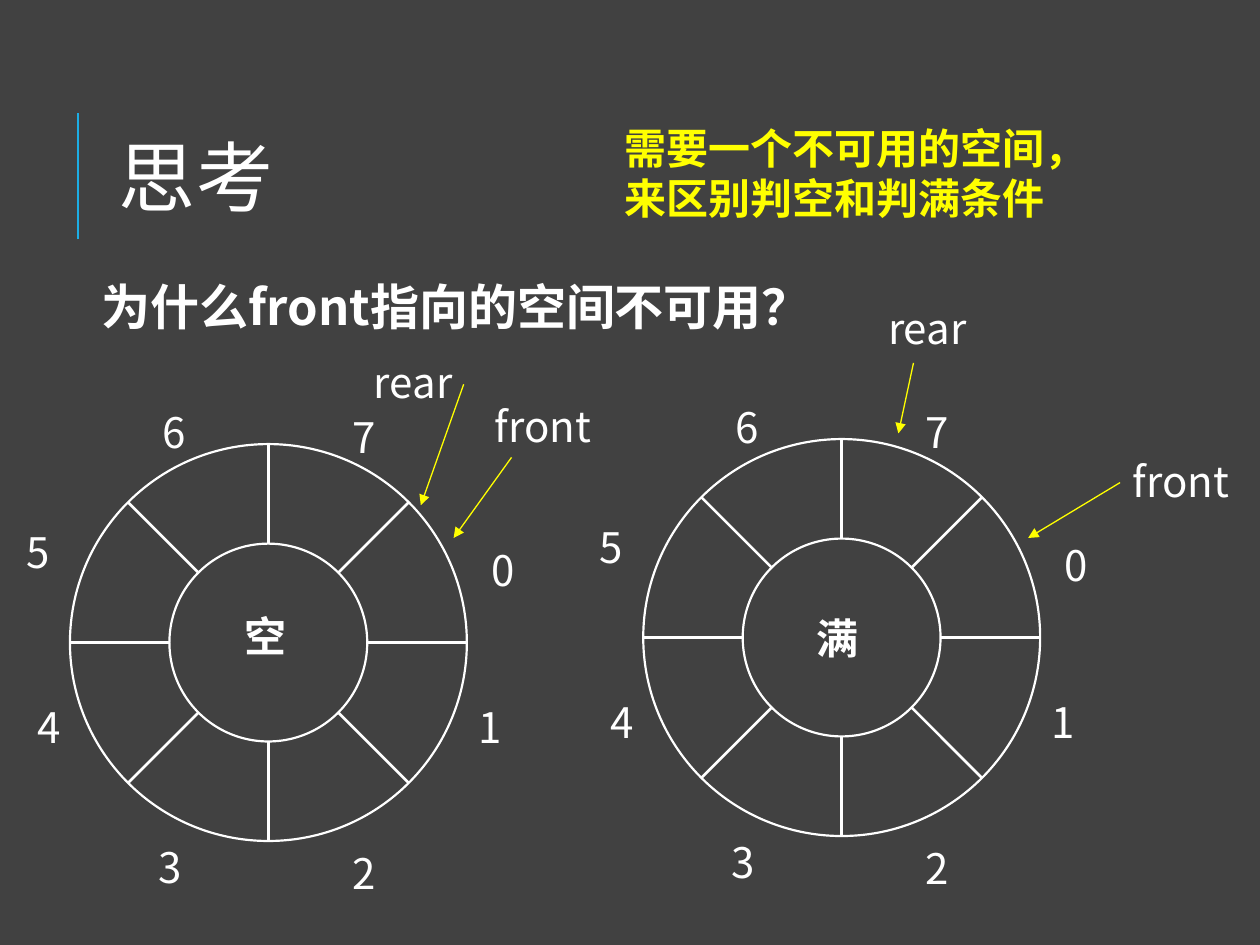
import math

import lxml.etree
import pptx
import pptx.dml.color
import pptx.enum.lang
import pptx.enum.shapes
import pptx.enum.text
import pptx.oxml.ns
import pptx.util

Inches = pptx.util.Inches
WHITE, YELLOW, BLUE, GREY = "FFFFFF", "FFFF00", "1CADE4", "414141"
SANS = "Noto Sans CJK SC"
OUTER_RADIUS, INNER_RADIUS = 1.575, 0.785
SLOT_LABEL_OFFSETS = [
    (1.67, -0.83), (1.57, 0.42), (0.57, 1.58), (-0.97, 1.53),
    (-1.93, 0.42), (-2.02, -0.97), (-0.94, -1.92), (0.57, -1.88),
]
RINGS = [
    {
        "center": (2.13, 5.1),
        "state": ("空", 1.84, 4.8),
        "pointers": [("front", 3.83, 3.13), ("rear", 2.87, 2.78)],
        "arrows": [((4.06, 3.63), (3.6, 4.27)), ((3.68, 3.05), (3.34, 4.01))],
    },
    {
        "center": (6.68, 5.06),
        "state": ("满", 6.38, 4.81),
        "pointers": [("front", 8.89, 3.57), ("rear", 6.95, 2.35)],
        "arrows": [((8.89, 3.83), (8.16, 4.27)), ((7.25, 2.88), (7.13, 3.44))],
    },
]


def rgb(color):
    """Return the colour object for a hex string."""
    return pptx.dml.color.RGBColor.from_string(color)


def add_child(parent, tag, **attributes):
    """Append a DrawingML element with the given attributes."""
    return lxml.etree.SubElement(parent, pptx.oxml.ns.qn(tag), attributes)


def add_text(shapes, text, left, top, width, height=0.5, color=WHITE,
             frame_format=None, line_spacing=None, tracking=None, **font_format):
    """Add a wrapping text box with one formatted run."""
    frame = shapes.add_textbox(*map(Inches, (left, top, width, height))).text_frame
    frame.word_wrap = True
    for name, value in (frame_format or {}).items():
        setattr(frame, name, value)
    paragraph = frame.paragraphs[0]
    paragraph.line_spacing = line_spacing
    run = paragraph.add_run()
    run.text = text
    values = {
        "name": SANS,
        "size": pptx.util.Pt(24),
        "language_id": pptx.enum.lang.MSO_LANGUAGE_ID.SIMPLIFIED_CHINESE,
        **font_format,
    }
    for name, value in values.items():
        setattr(run.font, name, value)
    run.font.color.rgb = rgb(color)
    properties = run._r.get_or_add_rPr()
    add_child(properties, "a:ea", typeface=SANS)
    if tracking:
        properties.set("spc", str(tracking))


def add_line(shapes, start, end, color=WHITE, weight=1.5, arrow=False):
    """Add a straight line, optionally with an arrowhead at its end."""
    line = shapes.add_connector(
        pptx.enum.shapes.MSO_CONNECTOR.STRAIGHT, *map(Inches, (*start, *end)))
    line.line.color.rgb = rgb(color)
    line.line.width = pptx.util.Pt(weight)
    if arrow:
        add_child(line.line._get_or_add_ln(), "a:tailEnd", type="triangle")
    add_child(line._element.spPr, "a:effectLst")


def add_circle(shapes, center, radius):
    """Add an unfilled white circle around a centre."""
    left, top = (value - radius for value in center)
    circle = shapes.add_shape(
        pptx.enum.shapes.MSO_SHAPE.OVAL,
        *map(Inches, (left, top, 2 * radius, 2 * radius)))
    circle.shadow.inherit = False
    circle.fill.background()
    circle.line.color.rgb = rgb(WHITE)
    circle.line.width = pptx.util.Pt(1.25)


def point_on_circle(center, radius, angle):
    """Return the point at an angle on a circle."""
    return (center[0] + radius * math.cos(angle),
            center[1] + radius * math.sin(angle))


def add_ring(slide, center, state, pointers, arrows):
    """Add a circular queue with its slot numbers and pointers."""
    shapes = slide.shapes.add_group_shape().shapes
    for radius in (OUTER_RADIUS, INNER_RADIUS):
        add_circle(shapes, center, radius)
    for index, (x, y) in enumerate(SLOT_LABEL_OFFSETS):
        angle = index * math.tau / len(SLOT_LABEL_OFFSETS)
        add_line(shapes, point_on_circle(center, OUTER_RADIUS, angle),
                 point_on_circle(center, INNER_RADIUS, angle))
        add_text(shapes, str(index), center[0] + x, center[1] + y, 0.82)
    for pointer in pointers:
        add_text(shapes, *pointer, 1.03)
    for start, end in arrows:
        add_line(shapes, start, end, YELLOW, 0.75, arrow=True)
    add_text(shapes, *state, 0.67, name="Calibri", bold=True)


def main():
    """Build the slide and save it."""
    presentation = pptx.Presentation()
    presentation.slide_width = Inches(10)
    presentation.slide_height = Inches(7.5)
    slide = presentation.slides.add_slide(presentation.slide_layouts[6])
    slide.background.fill.solid()
    slide.background.fill.fore_color.rgb = rgb(GREY)

    add_line(slide.shapes, (0.62, 1.9), (0.62, 0.9), BLUE)
    add_text(slide.shapes, "思考", 0.84, 0.64, 7.97, 1.64,
             frame_format={"vertical_anchor": pptx.enum.text.MSO_ANCHOR.MIDDLE},
             line_spacing=0.8, tracking=100,
             name="Times New Roman", size=pptx.util.Pt(44))
    add_text(slide.shapes, "为什么front指向的空间不可用？", 0.66, 2.2, 7.97, 0.59,
             frame_format={"margin_left": Inches(0.15), "margin_right": Inches(0.05)},
             line_spacing=0.9, size=pptx.util.Pt(28), bold=True)
    add_text(slide.shapes, "需要一个不可用的空间，来区别判空和判满条件",
             4.86, 0.92, 3.99, 0.91, YELLOW, bold=True)
    for ring in RINGS:
        add_ring(slide, **ring)
    presentation.save("out.pptx")


if __name__ == "__main__":
    main()
